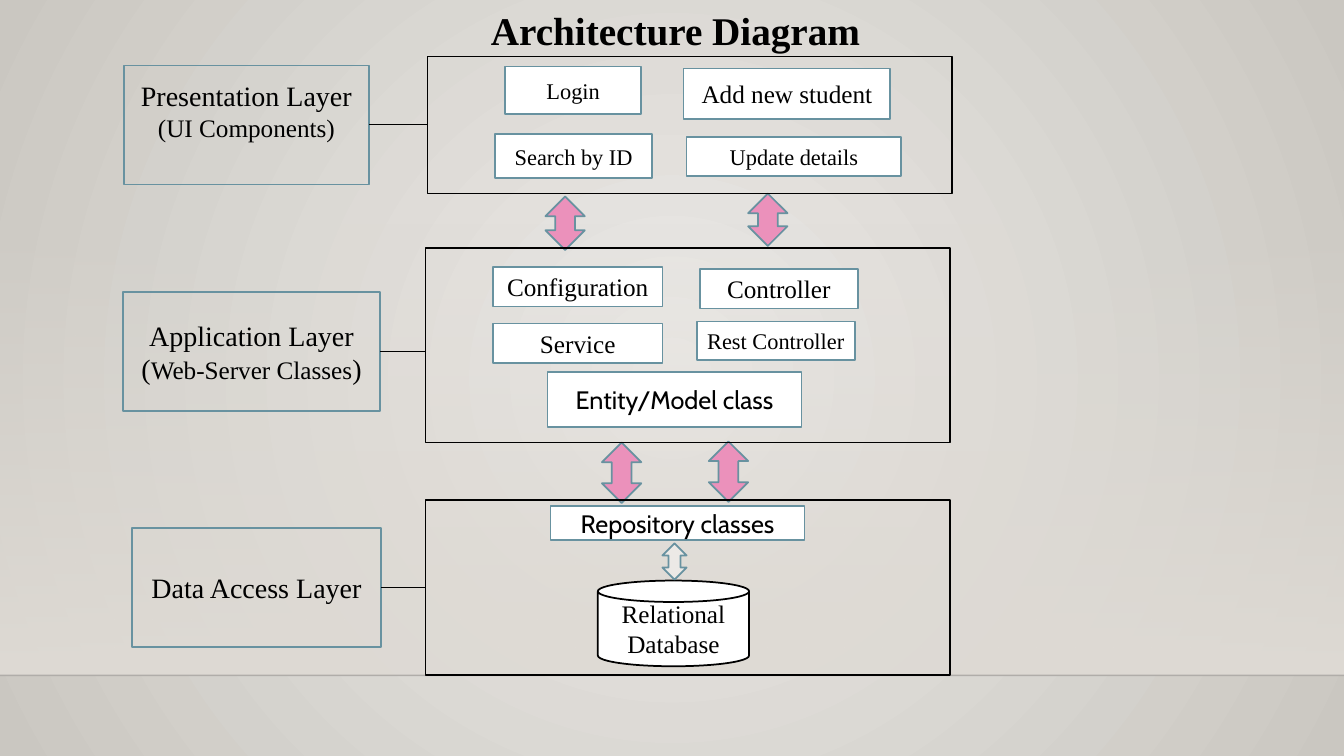
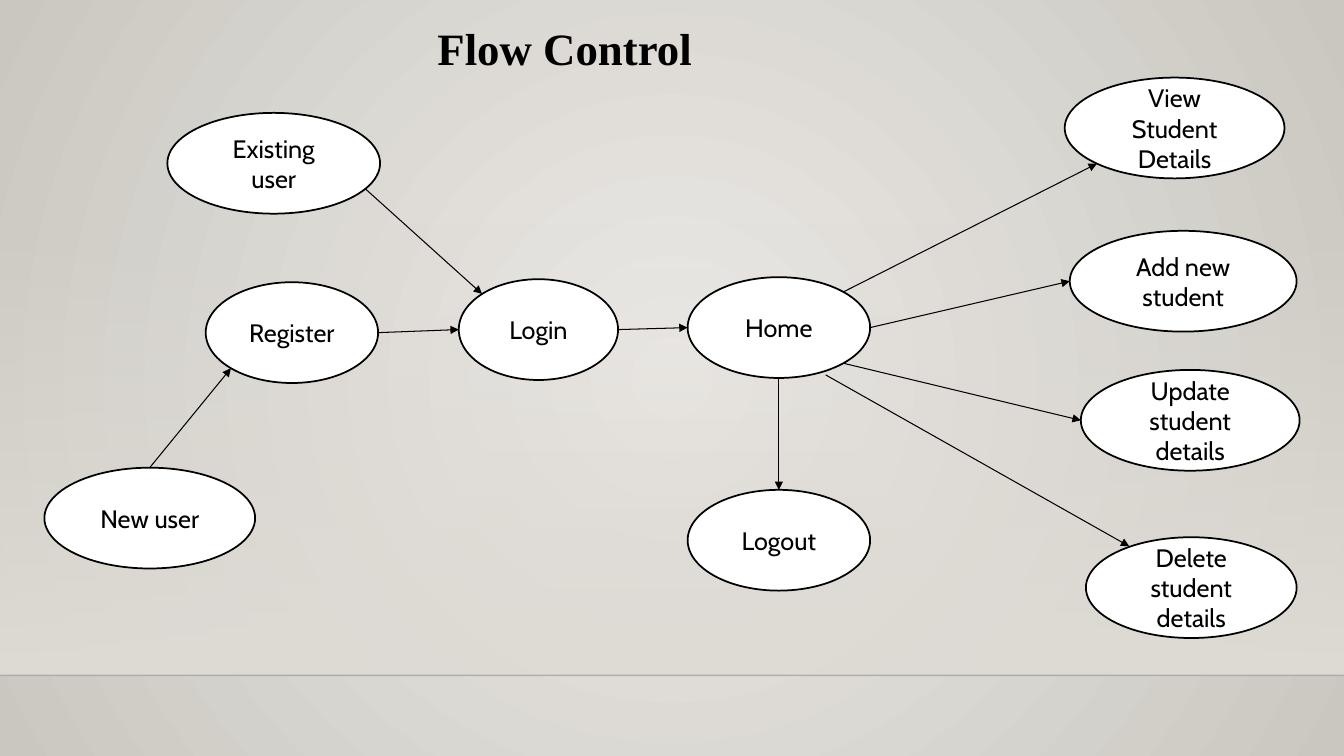
import math
import pptx
import pptx.util
import pptx.oxml
import pptx.oxml.ns
import pptx.dml.color
import pptx.enum.shapes
import pptx.enum.text

SERIF, SANS = "Times New Roman", "Cabin"
COLORS = {"ink": "000000", "white": "FFFFFF", "teal": "6892A0", "pink": "EB91BB",
          "pale": "ECE9E6", "glow": "ECEAE7", "edge": "CAC7C1", "wall": "DFDBD5",
          "floor": "000001"}
WIDTH, HEIGHT, FLOOR_Y = 13.33, 7.5, 6.7
SHAPE = pptx.enum.shapes.MSO_SHAPE
CENTER = pptx.enum.text.PP_ALIGN.CENTER

LAYERS = [
    {"label": (1.23, 0.65, 2.43, 1.18), "panel": (4.24, 0.56, 5.2, 1.36), "bottom": 0.34,
     "text": [[("Presentation Layer", 20)], [("(UI Components)", 18)]]},
    {"label": (1.22, 2.9, 2.55, 1.18), "panel": (4.22, 2.46, 5.2, 1.93), "bottom": 0.05,
     "text": [[("Application Layer", 20)],
              [("(", 20), ("Web-Server Classes", 18), (")", 20)]]},
    {"label": (1.31, 5.24, 2.47, 1.18), "panel": (4.22, 4.96, 5.2, 1.74), "bottom": 0.05,
     "text": [[("Data Access Layer", 20)]]},
]
COMPONENTS = [
    ("Login", (5.01, 0.66, 1.35, 0.47), 16, SERIF),
    ("Add new student", (6.78, 0.68, 2.05, 0.5), 18, SERIF),
    ("Search by ID", (4.91, 1.33, 1.56, 0.44), 16, SERIF),
    ("Update details", (6.81, 1.36, 2.13, 0.39), 16, SERIF),
    ("Configuration", (4.89, 2.65, 1.68, 0.39), 18, SERIF),
    ("Controller", (6.94, 2.67, 1.57, 0.39), 18, SERIF),
    ("Service", (4.89, 3.21, 1.68, 0.39), 18, SERIF),
    ("Rest Controller", (6.91, 3.19, 1.57, 0.38), 16, SERIF),
    ("Entity/Model class", (5.43, 3.69, 2.52, 0.55), 18, SANS),
    ("Repository classes", (5.46, 5.02, 2.52, 0.34), 18, SANS),
]
EXCHANGES = [
    ((5.41, 1.95, 0.39, 0.53), "pink"), ((7.42, 1.92, 0.39, 0.52), "pink"),
    ((5.97, 4.39, 0.39, 0.6), "pink"), ((7.03, 4.38, 0.39, 0.6), "pink"),
    ((6.57, 5.39, 0.24, 0.36), "pale"),
]

STEP_HEIGHT = 1
STEPS = {
    "Existing user": (1.66, 1.12, 2.11),
    "Register": (2.04, 2.8, 1.71),
    "New user": (0.44, 4.64, 2.09),
    "Login": (4.55, 2.77, 1.58),
    "Home": (6.82, 2.75, 1.81),
    "Logout": (6.82, 4.86, 1.81),
    "View Student Details": (10.56, 0.77, 2.18),
    "Add new student": (10.61, 2.29, 2.25),
    "Update student details": (10.72, 3.67, 2.17),
    "Delete student details": (10.77, 5.33, 2.09),
}
TOP, TOP_LEFT, LEFT, BOTTOM_LEFT, BOTTOM, BOTTOM_RIGHT, RIGHT, TOP_RIGHT = range(8)
FLOWS = [
    ("Existing user", (3.62, 1.87), "Login", TOP_LEFT),
    ("New user", TOP, "Register", BOTTOM_LEFT),
    ("Register", RIGHT, "Login", LEFT),
    ("Login", RIGHT, "Home", LEFT),
    ("Home", BOTTOM, "Logout", TOP),
    ("Home", TOP_RIGHT, "View Student Details", BOTTOM_LEFT),
    ("Home", RIGHT, "Add new student", LEFT),
    ("Home", BOTTOM_RIGHT, "Update student details", LEFT),
    ("Home", (8.19, 3.72), "Delete student details", (11.2, 5.42)),
]


def inches(values):
    return [pptx.util.Inches(v) for v in values]


def rgb(name):
    return pptx.dml.color.RGBColor.from_string(COLORS[name])


def xml(tag, inner="", attrs=""):
    ns = pptx.oxml.ns.nsdecls("a")
    return pptx.oxml.parse_xml(f"<a:{tag} {ns} {attrs}>{inner}</a:{tag}>")


def set_gradient(fill, owner, stops, direction):
    fill.gradient()
    old = owner.xpath(".//a:gradFill")[0]
    inner = "".join(
        f'<a:gs pos="{pos}"><a:srgbClr val="{COLORS[color]}">'
        f'<a:alpha val="{alpha}"/></a:srgbClr></a:gs>' for pos, color, alpha in stops)
    old.getparent().replace(old, xml("gradFill", f"<a:gsLst>{inner}</a:gsLst>{direction}"))


def write(sp, text, *, size=18, font=SERIF, bold=False, align=CENTER, wrap=True, bottom=0.05):
    tf = sp.text_frame
    tf.word_wrap = wrap
    tf.margin_bottom = pptx.util.Inches(bottom)
    paragraphs = [[(text, size)]] if isinstance(text, str) else text
    for i, runs in enumerate(paragraphs):
        p = tf.add_paragraph() if i else tf.paragraphs[0]
        p.alignment = align
        for words, points in runs:
            r = p.add_run()
            r.text = words
            r.font.size = pptx.util.Pt(points)
            r.font.name = font
            r.font.bold = bold
            r.font.color.rgb = rgb("ink")


def add_box(s, kind, at, fill=None, line="ink"):
    sp = s.shapes.add_shape(kind, *inches(at))
    sp.shadow.inherit = False
    if fill:
        sp.fill.solid()
        sp.fill.fore_color.rgb = rgb(fill)
    else:
        sp.fill.background()
    if line:
        sp.line.color.rgb = rgb(line)
        sp.line.width = pptx.util.Pt(1.25)
    else:
        sp.line.fill.background()
    sp.text_frame.vertical_anchor = pptx.enum.text.MSO_ANCHOR.MIDDLE
    return sp


def add_line(s, start, end, color="ink", width=0.75, arrow=False):
    straight = pptx.enum.shapes.MSO_CONNECTOR.STRAIGHT
    sp = s.shapes.add_connector(straight, *inches(start + end))
    sp.line.color.rgb = rgb(color)
    sp.line.width = pptx.util.Pt(width)
    if arrow:
        sp.line._get_or_add_ln().append(xml("tailEnd", attrs='type="triangle"'))
    sp.element.spPr.append(xml("effectLst"))
    return sp


def add_title(s, text, at, size):
    sp = s.shapes.add_textbox(*inches(at))
    write(sp, text, size=size, bold=True, wrap=False, align=pptx.enum.text.PP_ALIGN.LEFT)
    sp.text_frame.auto_size = pptx.enum.text.MSO_AUTO_SIZE.SHAPE_TO_FIT_TEXT


def style_master(prs, s):
    master = prs.slide_master
    set_gradient(master.background.fill, master.element,
                 [(0, "glow", 100000), (100000, "edge", 100000)],
                 '<a:path path="circle"><a:fillToRect l="50000" t="50000" r="50000" b="50000"/></a:path>')
    wall = add_box(s, SHAPE.RECTANGLE, (0, 2.21, WIDTH, FLOOR_Y - 2.21), line=None)
    set_gradient(wall.fill, wall.element, [(0, "wall", 0), (100000, "wall", 100000)],
                 '<a:lin ang="5400000" scaled="0"/>')
    floor = add_line(s, (0, FLOOR_Y), (WIDTH, FLOOR_Y), color="floor", width=1)
    floor.element.xpath(".//a:ln//a:srgbClr")[0].append(xml("alpha", attrs='val="20000"'))
    for number, sp in enumerate((wall, floor), start=20):
        sp.element.xpath("./*/p:cNvPr")[0].set("id", str(number))
        master.element.cSld.spTree.append(sp.element)


def draw_architecture(s):
    add_title(s, "Architecture Diagram", (4.77, 0.01, 3.9, 0.57), 28)
    database = add_box(s, SHAPE.CAN, (5.93, 5.76, 1.5, 0.85), fill="white")
    write(database, "Relational Database")
    for text, at, size, font in COMPONENTS:
        sp = add_box(s, SHAPE.RECTANGLE, at, fill="white", line="teal")
        write(sp, text, size=size, font=font)
    for at, fill in EXCHANGES:
        add_box(s, SHAPE.UP_DOWN_ARROW, at, fill=fill, line="teal")
    for layer in LAYERS:
        x, y, w, h = layer["label"]
        add_box(s, SHAPE.RECTANGLE, layer["panel"])
        label = add_box(s, SHAPE.RECTANGLE, layer["label"], line="teal")
        write(label, layer["text"], bottom=layer["bottom"])
        middle = y + h / 2
        link = add_line(s, (x + w, middle), (layer["panel"][0], middle))
        link.begin_connect(label, 3)


def site_point(step, site):
    if isinstance(site, tuple):
        return site
    x, y, w = STEPS[step]
    angle = math.radians(90 + 45 * site)
    return (x + w / 2 * (1 + math.cos(angle)),
            y + STEP_HEIGHT / 2 * (1 - math.sin(angle)))


def draw_flow(s):
    add_title(s, "Flow Control", (4.24, 0.16, 2.75, 0.64), 32)
    ovals = {}
    for text, (x, y, w) in STEPS.items():
        ovals[text] = add_box(s, SHAPE.OVAL, (x, y, w, STEP_HEIGHT), fill="white")
        write(ovals[text], text, font=SANS)
    for source, out, target, into in FLOWS:
        link = add_line(s, site_point(source, out), site_point(target, into), arrow=True)
        ends = link.element.nvCxnSpPr.cNvCxnSpPr
        for step, site, glue in ((source, out, ends.get_or_add_stCxn),
                                 (target, into, ends.get_or_add_endCxn)):
            if isinstance(site, int):
                end = glue()
                end.id, end.idx = ovals[step].shape_id, site


def main():
    prs = pptx.Presentation()
    prs.slide_width, prs.slide_height = inches((WIDTH, HEIGHT))
    blank = prs.slide_layouts[6]
    architecture, flow = (prs.slides.add_slide(blank) for _ in range(2))
    style_master(prs, architecture)
    draw_architecture(architecture)
    draw_flow(flow)
    prs.save("out.pptx")


if __name__ == "__main__":
    main()
